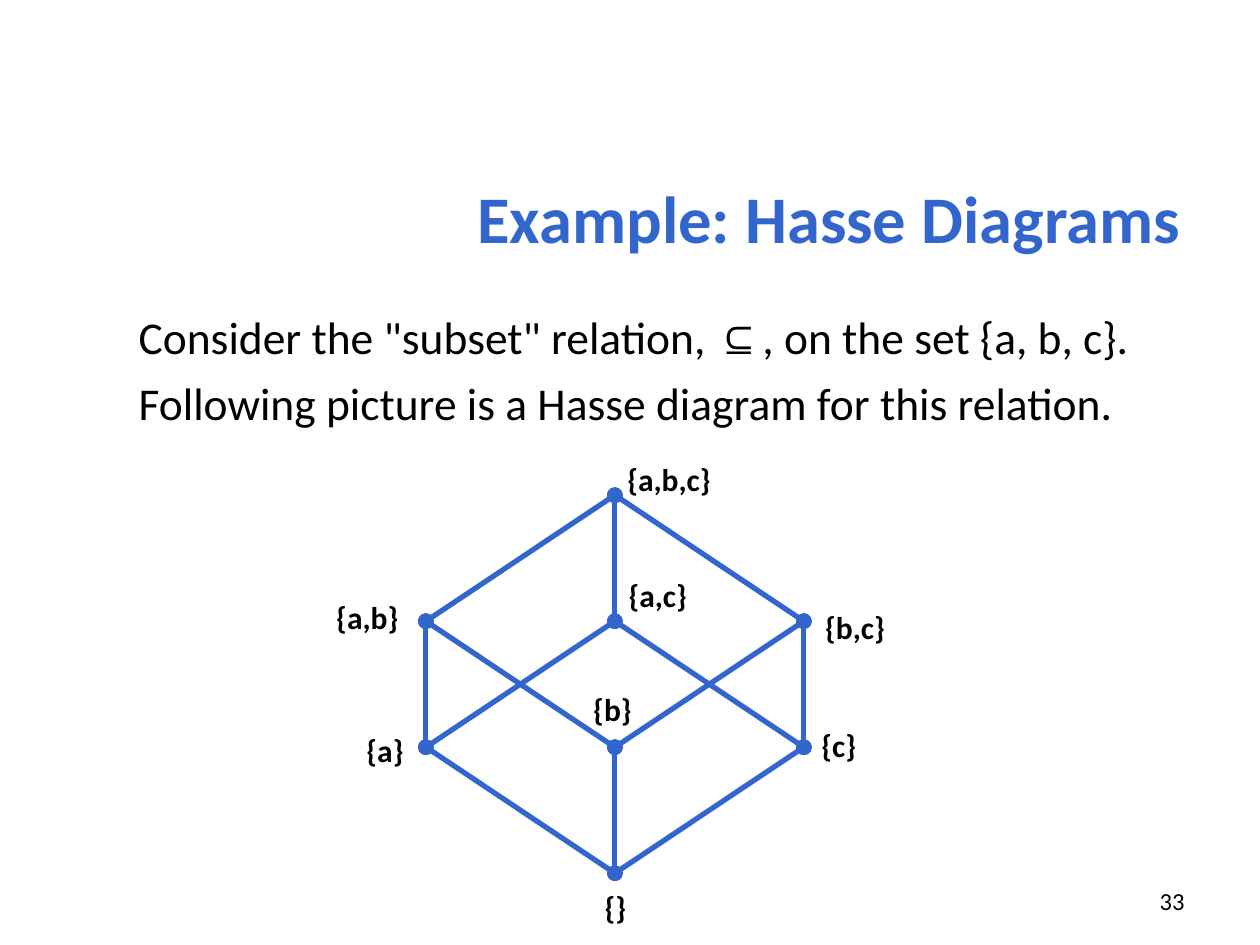
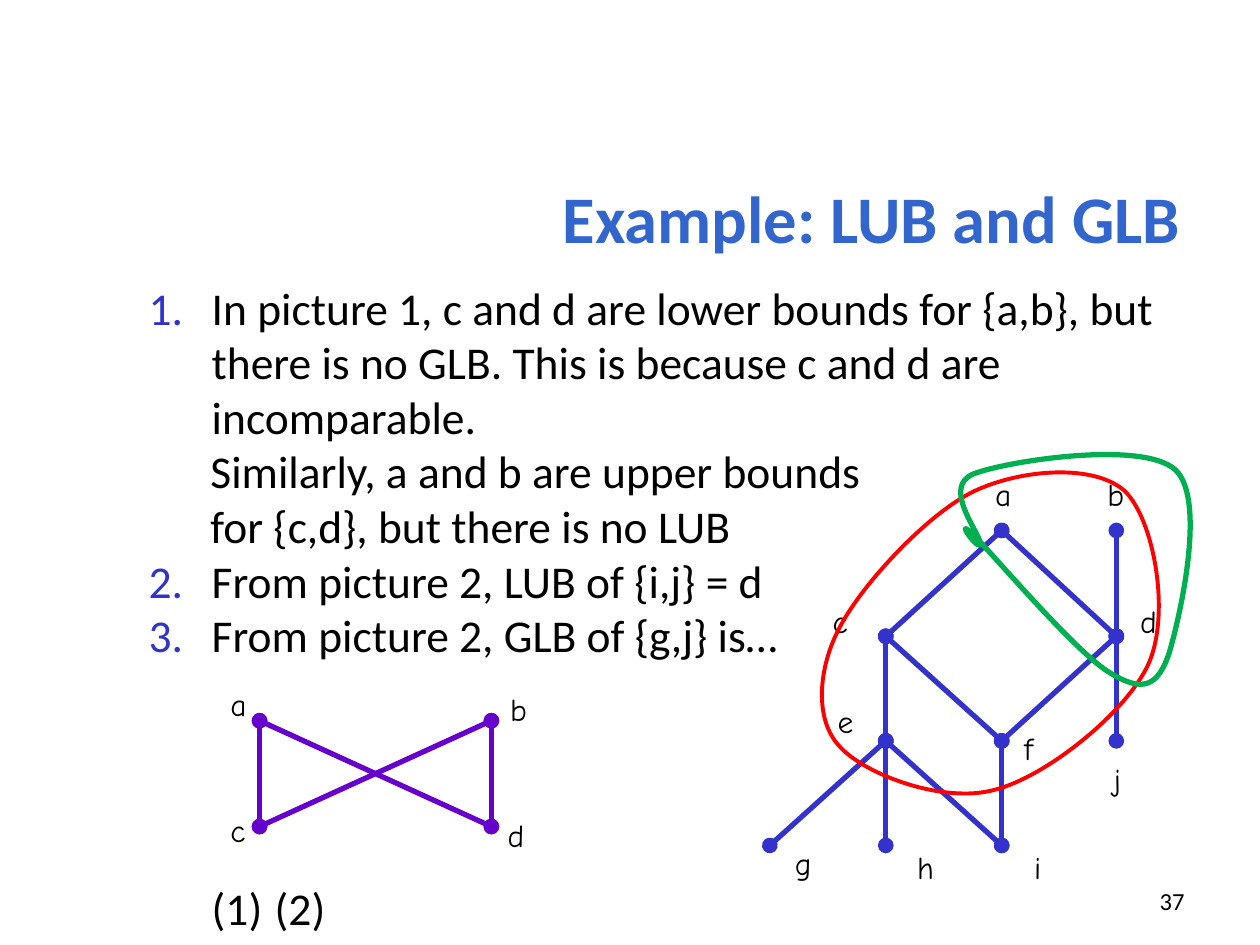
"""Build two slides on Hasse diagrams and on least upper and greatest lower bounds."""
from lxml import etree
from pptx import Presentation
from pptx import util as u
from pptx.dml.color import RGBColor
from pptx.enum import shapes, text
from pptx.oxml.ns import qn

PX = 9144
BLUE = RGBColor(0x33, 0x66, 0xCC)
INDIGO = RGBColor(0x33, 0x33, 0xCC)
PURPLE = RGBColor(0x66, 0x00, 0xCC)
RED = RGBColor(0xFF, 0x00, 0x00)
GREEN = RGBColor(0x00, 0xB0, 0x50)
BLACK = RGBColor(0x00, 0x00, 0x00)
FONT, SYMBOL_FONT, LABEL_FONT = "Calibri", "Arial", "Comic Neue"


def add_text(parent, box, words, size, font=FONT, bold=False):
    tb = parent.shapes.add_textbox(*[v * PX for v in box])
    tf = tb.text_frame
    tf.word_wrap = True
    tf.text = words
    p = tf.paragraphs[0]
    f = p.runs[0].font
    f.size, f.name, f.bold = u.Pt(size), font, bold
    f.color.rgb = BLACK
    return tb


def add_graph(s, nodes, edges, color, font, bold, label_size):
    grp = s.shapes.add_group_shape()
    for start, end in edges:
        ends = nodes[start][:2] + nodes[end][:2]
        ln = grp.shapes.add_connector(shapes.MSO_CONNECTOR.STRAIGHT, *[v * PX for v in ends])
        ln.line.color.rgb = color
        ln.line.width = u.Pt(3)
        for tag in ("a:headEnd", "a:tailEnd"):
            etree.SubElement(ln.line._get_or_add_ln(), qn(tag), type="oval")
        etree.SubElement(ln._element.spPr, qn("a:effectLst"))
    for name, (_, _, left, top) in nodes.items():
        add_text(grp, (left, top, *label_size), name, 18, font, bold)


prs = Presentation()
prs.slide_width, prs.slide_height = 1000 * PX, 750 * PX

pages = [
    ("Example: Hasse Diagrams", "33", (100, 240, 900, 385), [
        (0, 0, 0, ['Consider the "subset" relation, ', "⊆", ", on the set {a, b, c}."]),
        (0, 0, 6.5, ["Following picture is a Hasse diagram for this relation."]),
    ]),
    ("Example: LUB and GLB", "37", (108, 217, 875, 307), [
        (1, 50, 0, ["In picture 1, c and d are lower bounds for {a,b}, but there is no GLB. "
                    "This is because c and d are incomparable."]),
        (0, 49, 0, ["Similarly, a and b are upper bounds"]),
        (0, 49, 0, ["for {c,d}, but there is no LUB"]),
        (2, 50, 0, ["From picture 2, LUB of {i,j} = d"]),
        (2, 50, 0, ["From picture 2, GLB of {g,j} is…"]),
        (0, 0, 125, ["\t(1)\t(2)"]),
    ]),
]
CAPTION_TABS = (197, 596)

for title, number, body_box, items in pages:
    s = prs.slides.add_slide(prs.slide_layouts[1])
    body = s.placeholders[1]
    for sp, box in ((s.shapes.title, (47, 110, 900, 125)), (body, body_box)):
        sp.left, sp.top, sp.width, sp.height = [v * PX for v in box]
        sp.text_frame.auto_size = text.MSO_AUTO_SIZE.NONE
    tf = s.shapes.title.text_frame
    tf.text = title
    tf.vertical_anchor = text.MSO_ANCHOR.MIDDLE
    p = tf.paragraphs[0]
    p.alignment = text.PP_ALIGN.RIGHT
    f = p.runs[0].font
    f.size, f.name, f.bold = u.Pt(38), FONT, True
    f.color.rgb = BLUE

    tf = body.text_frame
    for i, (start, margin, gap, parts) in enumerate(items):
        p = tf.paragraphs[0] if i == 0 else tf.add_paragraph()
        pPr = p._p.get_or_add_pPr()
        pPr.set("marL", str(margin * PX))
        pPr.set("indent", str(-margin * PX if start else 0))
        if start:
            clr = etree.SubElement(pPr, qn("a:buClr"))
            etree.SubElement(clr, qn("a:srgbClr"), val=str(INDIGO))
            etree.SubElement(pPr, qn("a:buFont"), typeface=FONT)
            etree.SubElement(pPr, qn("a:buAutoNum"), type="arabicPeriod", startAt=str(start))
        else:
            etree.SubElement(pPr, qn("a:buNone"))
        if "\t" in parts[0]:
            tabs = etree.SubElement(pPr, qn("a:tabLst"))
            for pos in CAPTION_TABS:
                etree.SubElement(tabs, qn("a:tab"), pos=str(pos * PX), algn="l")
        p.space_before = u.Pt(gap)
        for part in parts:
            r = p.add_run()
            r.text = part
            r.font.size = u.Pt(26)
            r.font.name = SYMBOL_FONT if part == "⊆" else FONT
            r.font.color.rgb = BLACK

    tb = add_text(s, (717, 695, 233, 40), number, 14)
    tb.text_frame.vertical_anchor = text.MSO_ANCHOR.MIDDLE
    tb.text_frame.paragraphs[0].alignment = text.PP_ALIGN.RIGHT

hasse, bounds = prs.slides

subsets = {
    "{a,b,c}": (488, 393, 488, 360),
    "{a,b}": (338, 493, 257, 470),
    "{a,c}": (488, 493, 489, 452),
    "{b,c}": (638, 493, 645, 478),
    "{a}": (338, 593, 281, 575),
    "{b}": (488, 593, 461, 543),
    "{c}": (638, 593, 642, 571),
    "{}": (488, 693, 470, 700),
}
members = {name: set(name.strip("{}").replace(",", "")) for name in subsets}
covers = [(hi, lo) for hi in subsets for lo in subsets
          if members[lo] < members[hi] and len(members[hi]) == len(members[lo]) + 1]
add_graph(hasse, subsets, covers, BLUE, FONT, True, (192, 67))

poset = {
    "a": (795, 421, 780, 372),
    "b": (886, 421, 869, 372),
    "c": (703, 505, 651, 473),
    "d": (886, 505, 895, 473),
    "e": (703, 588, 655, 552),
    "f": (795, 588, 803, 574),
    "j": (886, 588, 874, 598),
    "g": (611, 671, 621, 665),
    "h": (703, 671, 718, 668),
    "i": (795, 671, 811, 668),
}
add_graph(bounds, poset, "ac ad bd ce cf df dj eg eh ei fi".split(),
          INDIGO, LABEL_FONT, False, (50, 40))

loops = [
    (RED, 2.25, (667, 593), [
        (646, 572), (649, 530), (667, 497),
        (685, 463), (736, 408), (773, 390),
        (811, 372), (869, 368), (893, 390),
        (916, 413), (929, 486), (912, 526),
        (895, 565), (830, 617), (789, 627),
        (749, 638), (687, 615), (667, 593),
    ]),
    (GREEN, 3, (773, 425), [
        (790, 442), (855, 519), (881, 534),
        (907, 550), (919, 545), (928, 518),
        (936, 491), (958, 397), (933, 373),
        (907, 349), (799, 366), (773, 376),
        (747, 386), (777, 422), (778, 431),
        (778, 440), (755, 407), (773, 425),
    ]),
]
for color, weight, start, points in loops:
    fb = bounds.shapes.build_freeform(*start, scale=PX)
    fb.add_line_segments(points, close=True)
    sp = fb.convert_to_shape()
    segments = list(sp._element.iter(qn("a:lnTo")))
    for k in range(0, len(points), 3):
        curve = etree.Element(qn("a:cubicBezTo"))
        segments[k].addprevious(curve)
        for seg in segments[k:k + 3]:
            curve.append(seg[0])
            seg.getparent().remove(seg)
    sp.shadow.inherit = False
    sp.fill.background()
    sp.line.color.rgb = color
    sp.line.width = u.Pt(weight)

crossed = {
    "a": (206, 572, 173, 539),
    "b": (390, 572, 395, 543),
    "c": (206, 656, 173, 639),
    "d": (390, 656, 393, 643),
}
add_graph(bounds, crossed, "ad db ca cb".split(), PURPLE, LABEL_FONT, False, (50, 40))

prs.save("out.pptx")
